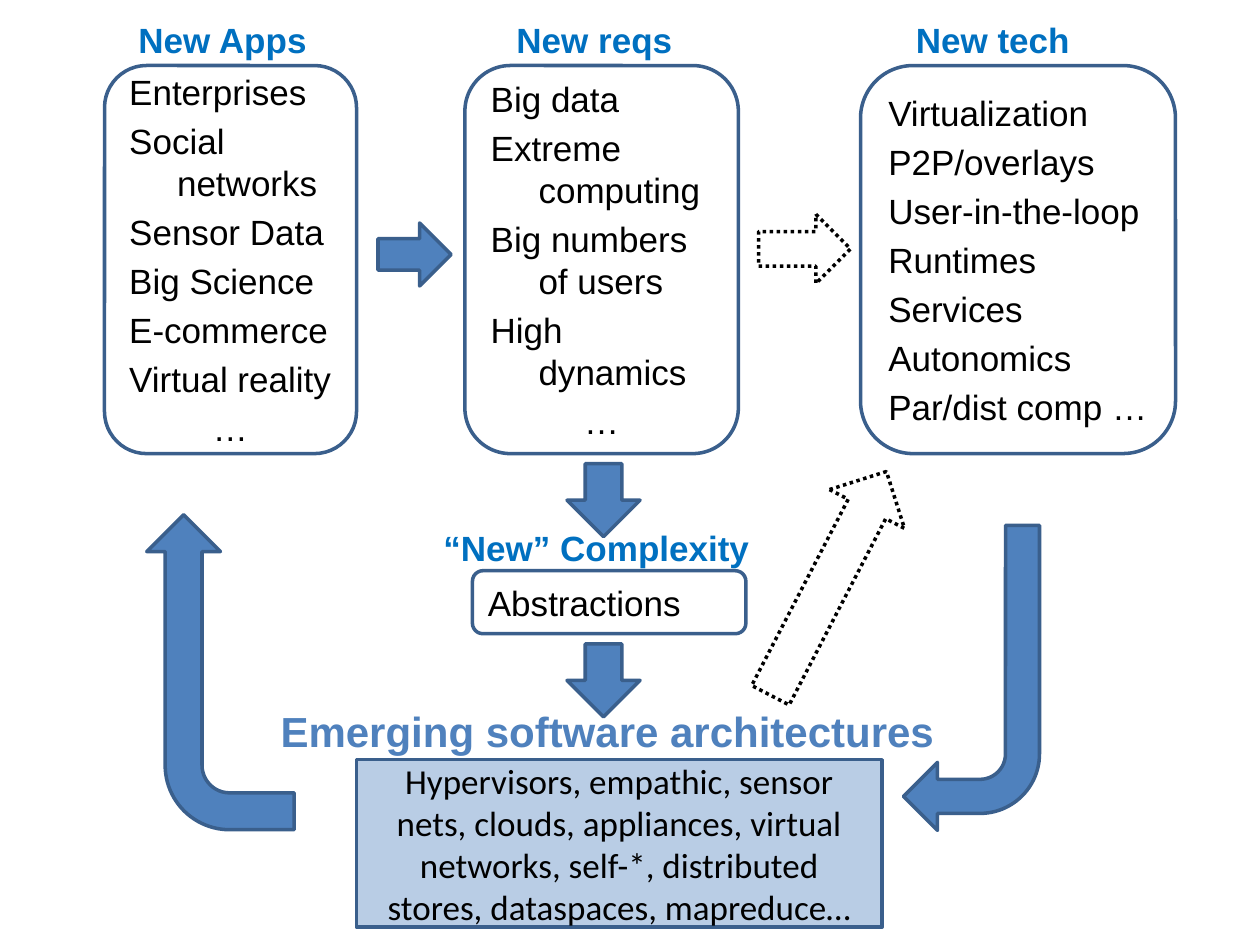
from dataclasses import dataclass, field

from pptx import Presentation
from pptx.dml.color import RGBColor
from pptx.enum.dml import MSO_LINE
from pptx.enum.shapes import MSO_SHAPE
from pptx.enum.text import MSO_ANCHOR, MSO_AUTO_SIZE, PP_ALIGN
from pptx.util import Inches, Pt

ROUNDED, RECTANGLE = MSO_SHAPE.ROUNDED_RECTANGLE, MSO_SHAPE.RECTANGLE
RIGHT, DOWN = MSO_SHAPE.RIGHT_ARROW, MSO_SHAPE.DOWN_ARROW
UP, BENT = MSO_SHAPE.UP_ARROW, MSO_SHAPE.BENT_ARROW
DOTTED = MSO_LINE.ROUND_DOT
MIDDLE = MSO_ANCHOR.MIDDLE
FIT_SHAPE = MSO_AUTO_SIZE.SHAPE_TO_FIT_TEXT
LEFT, CENTER = PP_ALIGN.LEFT, PP_ALIGN.CENTER


@dataclass(frozen=True)
class Theme:
    white: str = "FFFFFF"
    black: str = "000000"
    blue: str = "4F81BD"
    outline: str = "3A5F8C"
    title: str = "0070C0"
    pale: str = "B9CDE5"
    sans: str = "Arial"
    body: str = "Calibri"
    text_size: int = 20
    large_size: int = 24
    line_width: int = 2
    list_indent: float = 0.38
    list_gap: int = 4


THEME = Theme()


@dataclass(frozen=True)
class Place:
    left: float
    top: float
    width: float
    height: float

    def lengths(self) -> list:
        return [Inches(v) for v in (self.left, self.top, self.width, self.height)]


@dataclass(frozen=True)
class Card:
    place: Place
    lines: list = field(default_factory=list)


@dataclass(frozen=True)
class Heading:
    place: Place
    text: str
    size: int = THEME.text_size
    color: str = THEME.title
    align: PP_ALIGN = LEFT


@dataclass(frozen=True)
class Arrow:
    preset: MSO_SHAPE
    place: Place
    rotation: float = 0
    dotted: bool = False


CARD_TOP, CARD_HEIGHT = 0.52, 3.08
TITLE_TOP, TITLE_HEIGHT = 0.1, 0.44
MORE = "…"

CARDS = [
    Card(Place(0.83, CARD_TOP, 2, CARD_HEIGHT),
         ["Enterprises", "Social networks", "Sensor Data", "Big Science",
          "E-commerce", "Virtual reality", MORE]),
    Card(Place(3.69, CARD_TOP, 2.17, CARD_HEIGHT),
         ["Big data", "Extreme computing", "Big numbers of users",
          "High dynamics", MORE]),
    Card(Place(6.83, CARD_TOP, 2.5, CARD_HEIGHT),
         ["Virtualization", "P2P/overlays", "User-in-the-loop", "Runtimes",
          "Services", "Autonomics", "Par/dist comp …"]),
    Card(Place(3.75, 4.53, 2.17, 0.5), ["Abstractions"]),
]

HEADINGS = [
    Heading(Place(1, TITLE_TOP, 1.55, TITLE_HEIGHT), "New Apps"),
    Heading(Place(4, TITLE_TOP, 1.45, TITLE_HEIGHT), "New reqs"),
    Heading(Place(7.17, TITLE_TOP, 1.43, TITLE_HEIGHT), "New tech"),
    Heading(Place(3.42, 4.13, 2.65, TITLE_HEIGHT), "“New” Complexity"),
    Heading(Place(2.1, 5.55, 5.44, 0.5), "Emerging software architectures",
            THEME.large_size, THEME.blue, CENTER),
]

ARROWS = [
    Arrow(RIGHT, Place(3, 1.77, 0.58, 0.5)),
    Arrow(BENT, Place(7.17, 4.17, 1.08, 2.42), 180),
    Arrow(BENT, Place(0.5, 4.75, 2.5, 1.17), 270),
    Arrow(DOWN, Place(4.5, 3.68, 0.58, 0.58)),
    Arrow(DOWN, Place(4.5, 5.11, 0.58, 0.58)),
    Arrow(UP, Place(6.24, 3.63, 0.67, 2), 27.4, dotted=True),
    Arrow(UP, Place(6.11, 1.61, 0.55, 0.73), 90, dotted=True),
]

ARCHITECTURES = Place(2.83, 6.03, 4.17, 1.33)
ARCHITECTURE_TEXT = (
    "Hypervisors, empathic, sensor nets, clouds, appliances, virtual networks, "
    "self-*, distributed stores, dataspaces, mapreduce…"
)


def set_values(target, values: dict) -> None:
    for name, value in values.items():
        setattr(target, name, value)


def add_box(slide, preset: MSO_SHAPE, place: Place, fill: str,
            outline: str = THEME.outline):
    box = slide.shapes.add_shape(preset, *place.lengths())
    box.shadow.inherit = False
    box.fill.solid()
    box.fill.fore_color.rgb = RGBColor.from_string(fill)
    box.line.color.rgb = RGBColor.from_string(outline)
    box.line.width = Pt(THEME.line_width)
    return box


def write(para, text: str, color: str = THEME.black, align: PP_ALIGN = LEFT,
          name: str = THEME.sans, size: int = THEME.text_size,
          bold: bool = False) -> None:
    para.alignment = align
    span = para.add_run()
    span.text = text
    set_values(span.font, {"name": name, "size": Pt(size), "bold": bold})
    span.font.color.rgb = RGBColor.from_string(color)


def draw_card(slide, card: Card) -> None:
    """Draw a rounded box whose lines have a hanging indent."""
    frame = add_box(slide, ROUNDED, card.place, THEME.white).text_frame
    set_values(frame, {"word_wrap": True, "vertical_anchor": MIDDLE})
    for index, line in enumerate(card.lines):
        para = frame.add_paragraph() if index else frame.paragraphs[0]
        indent = Inches(THEME.list_indent)
        properties = para._p.get_or_add_pPr()
        properties.set("marL", str(indent))
        properties.set("indent", str(-indent))
        para.space_before = Pt(THEME.list_gap if index else 0)
        write(para, line, align=CENTER if line == MORE else LEFT)


def draw_heading(slide, heading: Heading) -> None:
    frame = slide.shapes.add_textbox(*heading.place.lengths()).text_frame
    set_values(frame, {"word_wrap": False, "auto_size": FIT_SHAPE})
    write(frame.paragraphs[0], heading.text, heading.color, heading.align,
          size=heading.size, bold=True)


def draw_arrow(slide, arrow: Arrow) -> None:
    fill, outline = ((THEME.white, THEME.black) if arrow.dotted
                     else (THEME.blue, THEME.outline))
    shape = add_box(slide, arrow.preset, arrow.place, fill, outline)
    shape.rotation = arrow.rotation
    if arrow.dotted:
        shape.line.dash_style = DOTTED


def draw_architectures(slide) -> None:
    frame = add_box(slide, RECTANGLE, ARCHITECTURES, THEME.pale).text_frame
    set_values(frame, {"word_wrap": True, "vertical_anchor": MIDDLE})
    write(frame.paragraphs[0], ARCHITECTURE_TEXT, align=CENTER, name=THEME.body)


def main() -> None:
    deck = Presentation()
    set_values(deck, {"slide_width": Inches(10), "slide_height": Inches(7.5)})
    slide = deck.slides.add_slide(deck.slide_layouts[6])
    for card in CARDS:
        draw_card(slide, card)
    for heading in HEADINGS:
        draw_heading(slide, heading)
    for arrow in ARROWS:
        draw_arrow(slide, arrow)
    draw_architectures(slide)
    deck.save("out.pptx")


if __name__ == "__main__":
    main()
